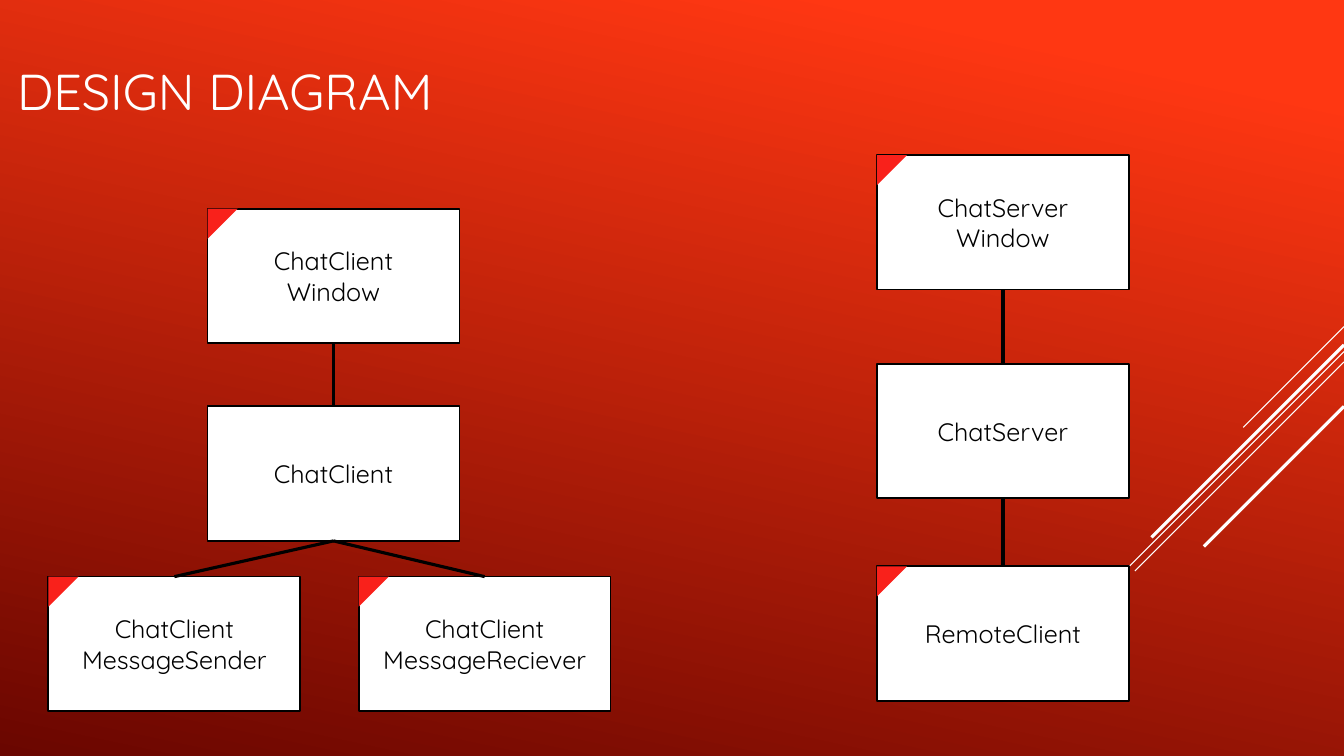
from dataclasses import dataclass

from lxml.etree import SubElement
from pptx import Presentation
from pptx.dml.color import RGBColor as RGB
from pptx.enum.shapes import MSO_CONNECTOR as CONN, MSO_SHAPE as SHAPE
from pptx.enum.text import MSO_ANCHOR as ANCHOR, PP_ALIGN as ALIGN
from pptx.oxml.ns import qn
from pptx.util import Cm, Pt


@dataclass(frozen=True)
class Theme:
    """Colours, type sizes and line weights of the slide."""
    font: str = "Quicksand"
    light: RGB = RGB(0xFF, 0xFF, 0xFF)
    dark: RGB = RGB(0, 0, 0)
    flag: RGB = RGB(0xF9, 0x21, 0x1B)
    glow: RGB = RGB(0xFF, 0x37, 0x12)
    ember: RGB = RGB(0x6A, 0x06, 0x00)
    title: Pt = Pt(36)
    label: Pt = Pt(18)
    hairline: Pt = Pt(0.75)
    outline: Pt = Pt(1.25)
    heavy: Pt = Pt(2.25)


T = Theme()
SLIDE_W, SLIDE_H = 33.87, 19.05
BOX_W, BOX_H, FLAG = 6.35, 3.39, 0.76
CLIENT_X, SERVER_X = 5.23, 22.1

BOXES = {
    "client": (CLIENT_X, 10.24, "ChatClient", False),
    "sender": (1.22, 14.53, "ChatClient\nMessageSender", True),
    "receiver": (9.04, 14.53, "ChatClient\nMessageReciever", True),
    "server": (SERVER_X, 9.17, "ChatServer", False),
    "remote": (SERVER_X, 14.27, "RemoteClient", True),
    "client_window": (CLIENT_X, 5.26, "ChatClient\nWindow", True),
    "server_window": (SERVER_X, 3.91, "ChatServer\nWindow", True),
}
LINKS = [
    ("client_window", "client"),
    ("client", "sender"),
    ("client", "receiver"),
    ("server", "remote"),
    ("server_window", "server"),
]
STRIPES = [
    (8.23, 2.54, T.hairline),
    (8.86, 8.28, T.hairline),
    (9.12, 5.27, T.hairline),
    (8.69, 4.85, T.heavy),
    (10.24, 3.53, T.heavy),
]


def set_all(obj, fmt):
    """Set each attribute named in a dict of format values."""
    for name, value in fmt.items():
        setattr(obj, name, value)


def paint_background(s):
    """Fill the slide with the slanted red gradient."""
    fill = s.background.fill
    fill.gradient()
    fill.gradient_angle = 360 - 102
    for stop, pos, color in zip(fill.gradient_stops, (0.1, 1), (T.glow, T.ember)):
        stop.position = pos
        stop.color.rgb = color


def write(sp, text, size, color, align):
    """Write one centred-in-height paragraph per line of text."""
    tf = sp.text_frame
    set_all(tf, {"text": text, "word_wrap": True, "vertical_anchor": ANCHOR.MIDDLE})
    for p in tf.paragraphs:
        p.alignment = align
        for r in p.runs:
            set_all(r.font, {"name": T.font, "size": size})
            r.font.color.rgb = color


def add_line(s, start, end, color, width):
    """Add a straight line between two points in centimetres."""
    ln = s.shapes.add_connector(CONN.STRAIGHT, *map(Cm, start + end))
    ln.line.color.rgb = color
    ln.line.width = width
    SubElement(ln._element.spPr, qn("a:effectLst"))
    return ln


def add_plain(s, kind, x, y, w, h, color):
    """Add a filled preset shape without shadow."""
    sp = s.shapes.add_shape(kind, *map(Cm, (x, y, w, h)))
    sp.shadow.inherit = False
    sp.fill.solid()
    sp.fill.fore_color.rgb = color
    return sp


def add_box(s, x, y, text):
    """Add an outlined class box with its name."""
    sp = add_plain(s, SHAPE.RECTANGLE, x, y, BOX_W, BOX_H, T.light)
    sp.line.color.rgb = T.dark
    sp.line.width = T.outline
    write(sp, text, T.label, T.dark, ALIGN.CENTER)
    return sp


def add_flag(s, x, y):
    """Add the red triangle in the top left corner of a box."""
    sp = add_plain(s, SHAPE.RIGHT_TRIANGLE, x, y, FLAG, FLAG, T.flag)
    sp.rotation = 90
    sp.line.fill.background()


def add_link(s, parent, child):
    """Join the bottom of one box to the top of another."""
    ln = add_line(s, (0, 0), (1, 1), T.dark, T.heavy)
    ln.begin_connect(parent, 2)
    ln.end_connect(child, 0)


def main():
    """Build the slide and save it."""
    prs = Presentation()
    set_all(prs, {"slide_width": Cm(SLIDE_W), "slide_height": Cm(SLIDE_H)})
    s = prs.slides.add_slide(prs.slide_layouts[6])
    paint_background(s)
    for top, run, width in STRIPES:
        add_line(s, (SLIDE_W, top), (SLIDE_W - run, top + run), T.light, width)
    title = s.shapes.add_textbox(*map(Cm, (0.18, 0.18, 12.5, 4.19)))
    write(title, "DESIGN DIAGRAM", T.title, T.light, ALIGN.LEFT)
    boxes = {key: add_box(s, x, y, text) for key, (x, y, text, _) in BOXES.items()}
    for parent, child in LINKS:
        add_link(s, boxes[parent], boxes[child])
    for x, y, _, flagged in BOXES.values():
        if flagged:
            add_flag(s, x, y)
    prs.save("out.pptx")


main()
